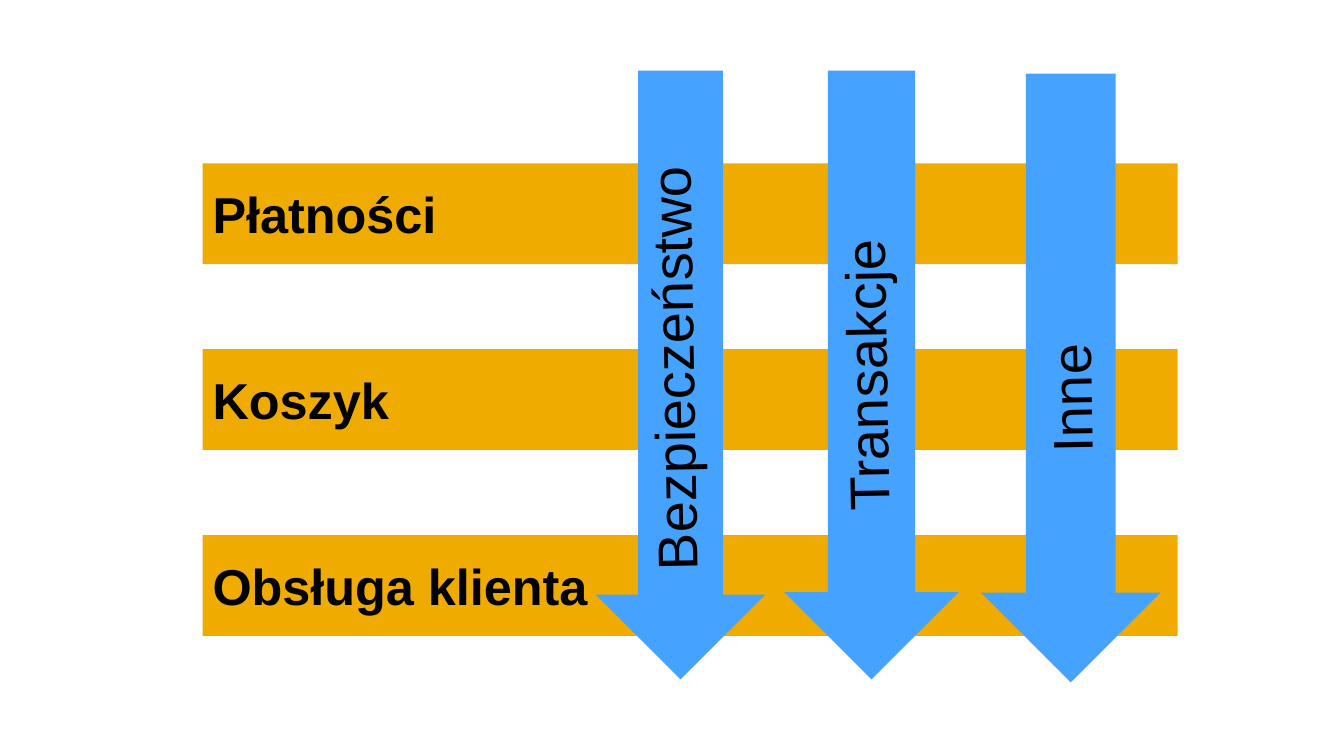
"""Build a slide of three process bars crossed by three downward arrows."""
from pptx import Presentation
from pptx.dml.color import RGBColor
from pptx.enum.shapes import MSO_SHAPE as Shape
from pptx.enum.text import MSO_ANCHOR as Anchor, PP_ALIGN as Align
from pptx.util import Inches, Pt

COLORS = {"bar": "F0AB00", "arrow": "45A2FF", "text": "000000"}
BARS = ["Płatności", "Koszyk", "Obsługa klienta"]
BAR_TOP, BAR_STEP = 1.62, 1.845
ARROWS = [(5.91, 0.7, 1.68), (7.78, 0.7, 1.73), (9.73, 0.73, 1.78)]
LABELS = [
    ("Bezpieczeństwo", 4.52, 3.27, 4.29),
    ("Transakcje", 6.65, 3.34, 3.86),
    ("Inne", 9.23, 3.57, 2.76),
]


def add_block(kind, color, left, top, width, height):
    """Add a borderless filled shape to the page."""
    block = page.shapes.add_shape(
        kind, Inches(left), Inches(top), Inches(width), Inches(height))
    block.shadow.inherit = False
    block.fill.solid()
    block.fill.fore_color.rgb = RGBColor.from_string(COLORS[color])
    block.line.fill.background()
    return block


def write(box, text, align, size, bold):
    """Fill a box with one formatted paragraph."""
    frame = box.text_frame
    frame.word_wrap = True
    para = frame.paragraphs[0]
    para.alignment = align
    span = para.add_run()
    span.text = text
    for name, value in {"name": "Arial", "size": Pt(size), "bold": bold}.items():
        setattr(span.font, name, value)
    span.font.color.rgb = RGBColor.from_string(COLORS["text"])


deck = Presentation()
deck.slide_width, deck.slide_height = Inches(13.33), Inches(7.5)
page = deck.slides.add_slide(deck.slide_layouts[6])

for row, text in enumerate(BARS):
    bar = add_block(Shape.RECTANGLE, "bar", 2.01, BAR_TOP + row * BAR_STEP, 9.67, 1)
    write(bar, text, Align.LEFT, 36, True)
    bar.text_frame.vertical_anchor = Anchor.MIDDLE
    bar.text_frame.margin_top = bar.text_frame.margin_bottom = Inches(0.08)

for left, top, width in ARROWS:
    add_block(Shape.DOWN_ARROW, "arrow", left, top, width, 6.04)

for text, left, top, width in LABELS:
    label = page.shapes.add_textbox(
        Inches(left), Inches(top), Inches(width), Inches(0.77))
    label.rotation = 269
    write(label, text, Align.CENTER, 40, False)

deck.save("out.pptx")
